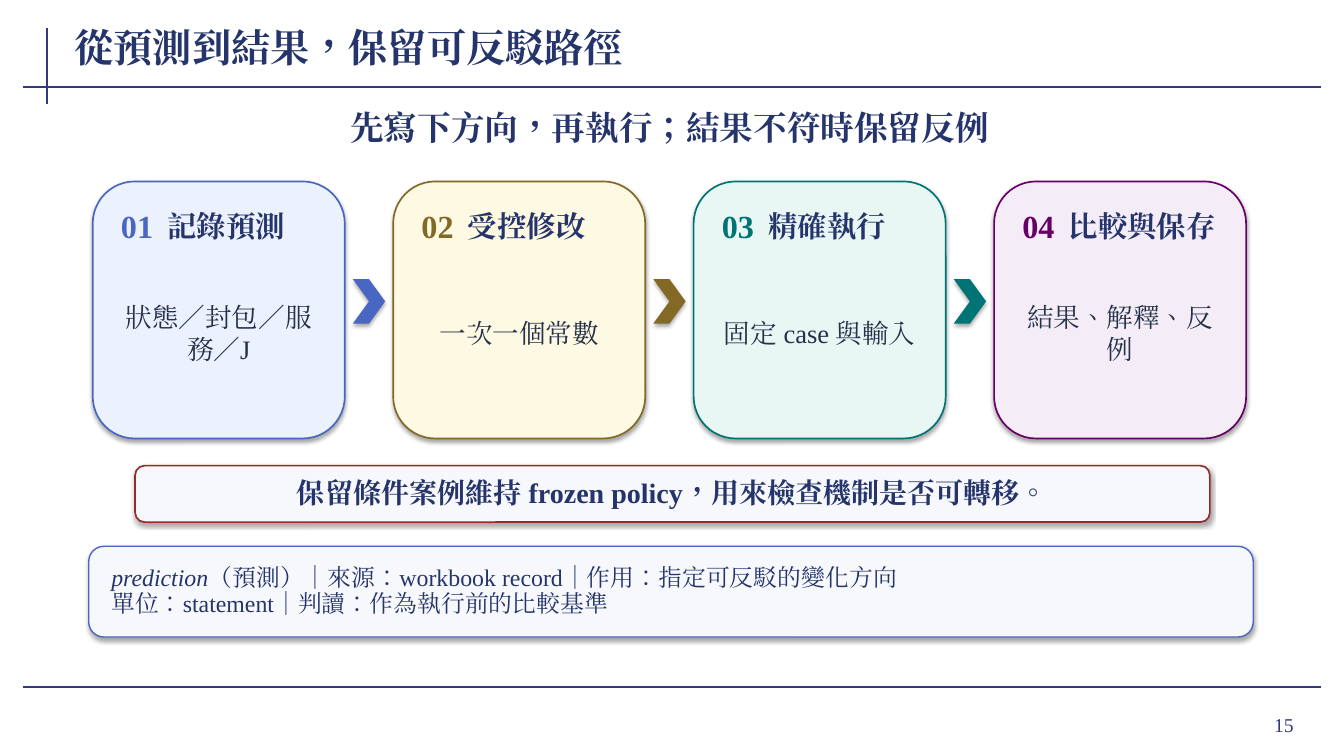
import pptx
import pptx.util
import pptx.dml.color
import pptx.enum.lang
import pptx.enum.shapes
import pptx.enum.text
import pptx.oxml
import pptx.oxml.ns

Inches = pptx.util.Inches
Pt = pptx.util.Pt
SHAPE = pptx.enum.shapes.MSO_SHAPE
ALIGN = pptx.enum.text.PP_ALIGN
FIT = pptx.enum.text.MSO_AUTO_SIZE
DRAWING = pptx.oxml.ns.nsdecls("a")

FONT = "Times New Roman"
NAVY, RULE, INK, PANEL = "25356B", "35377F", "25324A", "F7F8FC"
RED, BLUE = "992A2A", "4967C2"

TITLE = "從預測到結果，保留可反駁路徑"
SUBTITLE = "先寫下方向，再執行；結果不符時保留反例"
PAGE_NUMBER = "15"
STEPS = [
    ("01", "記錄預測", "狀態／封包／服務／J", BLUE, "ECF1FE"),
    ("02", "受控修改", "一次一個常數", "846826", "FDF9E2"),
    ("03", "精確執行", "固定 case 與輸入", "007374", "E8F7F4"),
    ("04", "比較與保存", "結果、解釋、反例", "660066", "F4EDF7"),
]
BANNER = "保留條件案例維持 frozen policy，用來檢查機制是否可轉移。"
NOTE_LINES = [
    [("prediction", True), ("（預測）｜來源：workbook record｜作用：指定可反駁的變化方向", False)],
    [("單位：statement｜判讀：作為執行前的比較基準", False)],
]
RULES = [(0.47, 0.28, 0.47, 1.03), (0.23, 0.86, 13.1, 0.86), (0.23, 6.82, 13.1, 6.82)]
CARD_LEFT, CARD_TOP, CARD_WIDTH, CARD_HEIGHT, CARD_STEP = 0.92, 1.8, 2.5, 2.55, 2.98


def color(value):
    return pptx.dml.color.RGBColor.from_string(value)


def add_span(para, text, size, ink, bold=False, italic=False):
    span = para.add_run()
    span.text = text
    font = span.font
    font.name, font.size, font.bold, font.italic = FONT, Pt(size), bold, italic
    font.color.rgb = color(ink)
    font.language_id = pptx.enum.lang.MSO_LANGUAGE_ID.TRADITIONAL_CHINESE
    font._element.find(pptx.oxml.ns.qn("a:latin")).addnext(
        pptx.oxml.parse_xml(f'<a:ea {DRAWING} typeface="{FONT}"/>'))


def set_frame(box, side, end, fit=FIT.NONE):
    frame = box.text_frame
    frame.word_wrap = True
    frame.auto_size = fit
    frame.vertical_anchor = pptx.enum.text.MSO_ANCHOR.MIDDLE
    frame.margin_left = frame.margin_right = Inches(side)
    frame.margin_top = frame.margin_bottom = Inches(end)
    return frame


def add_label(page, place, text, size, ink, bold=False, align=ALIGN.CENTER):
    box = page.shapes.add_textbox(*map(Inches, place))
    para = set_frame(box, 0.02, 0.01, FIT.SHAPE_TO_FIT_TEXT).paragraphs[0]
    para.alignment = align
    add_span(para, text, size, ink, bold)


def add_panel(page, kind, place, fill, line=None, weight=1.2):
    panel = page.shapes.add_shape(kind, *map(Inches, place))
    panel.fill.solid()
    panel.fill.fore_color.rgb = color(fill)
    if line:
        panel.line.color.rgb = color(line)
        panel.line.width = Pt(weight)
    else:
        panel.line.fill.background()
    panel._element.spPr.append(pptx.oxml.parse_xml(
        f'<a:effectLst {DRAWING}><a:outerShdw blurRad="{Pt(3.1)}" dist="{Pt(1.8)}" '
        'dir="5400000" algn="ctr" rotWithShape="0"><a:srgbClr val="000000">'
        '<a:alpha val="35000"/></a:srgbClr></a:outerShdw></a:effectLst>'))
    return panel


def add_rule(page, ends):
    rule = page.shapes.add_connector(pptx.enum.shapes.MSO_CONNECTOR.STRAIGHT, *map(Inches, ends))
    rule.line.color.rgb = color(RULE)
    rule.line.width = Pt(1.5)
    rule._element.spPr.append(pptx.oxml.parse_xml(f"<a:effectLst {DRAWING}/>"))


def add_step(page, index, step):
    number, heading, detail, accent, fill = step
    left = CARD_LEFT + index * CARD_STEP
    add_panel(page, SHAPE.ROUNDED_RECTANGLE, (left, CARD_TOP, CARD_WIDTH, CARD_HEIGHT), fill, accent)
    add_label(page, (left + 0.18, 2.02, 0.52, 0.44), number, 23, accent, True)
    add_label(page, (left + 0.72, 2, 1.55, 0.48), heading, 21, NAVY, True, ALIGN.LEFT)
    add_label(page, (left + 0.22, 2.82, 2.06, 0.96), detail, 19, INK)
    if index < len(STEPS) - 1:
        add_panel(page, SHAPE.CHEVRON, (left + CARD_WIDTH + 0.08, 2.77, 0.32, 0.44), accent)


def main():
    deck = pptx.Presentation()
    deck.slide_width, deck.slide_height = Inches(13.33), Inches(7.5)
    page = deck.slides.add_slide(deck.slide_layouts[5])

    for ends in RULES:
        add_rule(page, ends)
    number_box = page.shapes.add_textbox(*map(Inches, (11.96, 6.93, 0.97, 0.52)))
    para = set_frame(number_box, 0.1, 0.05).paragraphs[0]
    para.alignment = ALIGN.RIGHT
    add_span(para, PAGE_NUMBER, 14, RULE)

    title = page.shapes.title
    title.left, title.top, title.width, title.height = map(Inches, (0.72, 0.2, 10.35, 0.53))
    para = set_frame(title, 0.02, 0).paragraphs[0]
    para.alignment = ALIGN.LEFT
    add_span(para, TITLE, 28, NAVY, True)
    add_label(page, (1.04, 1.02, 11.2, 0.48), SUBTITLE, 24, NAVY, True)

    for index, step in enumerate(STEPS):
        add_step(page, index, step)

    banner = add_panel(page, SHAPE.ROUNDED_RECTANGLE, (1.34, 4.62, 10.66, 0.56), PANEL, RED)
    para = set_frame(banner, 0.12, 0.05).paragraphs[0]
    para.alignment = ALIGN.CENTER
    para.line_spacing = 0.95
    add_span(para, BANNER, 20, NAVY, True)

    note = add_panel(page, SHAPE.ROUNDED_RECTANGLE, (0.88, 5.42, 11.55, 0.9), PANEL, BLUE, 1)
    frame = set_frame(note, 0.18, 0.05)
    for index, spans in enumerate(NOTE_LINES):
        para = frame.add_paragraph() if index else frame.paragraphs[0]
        para.alignment = ALIGN.LEFT
        para.line_spacing = 0.92
        for text, italic in spans:
            add_span(para, text, 17, NAVY, italic=italic)

    deck.save("out.pptx")


if __name__ == "__main__":
    main()
